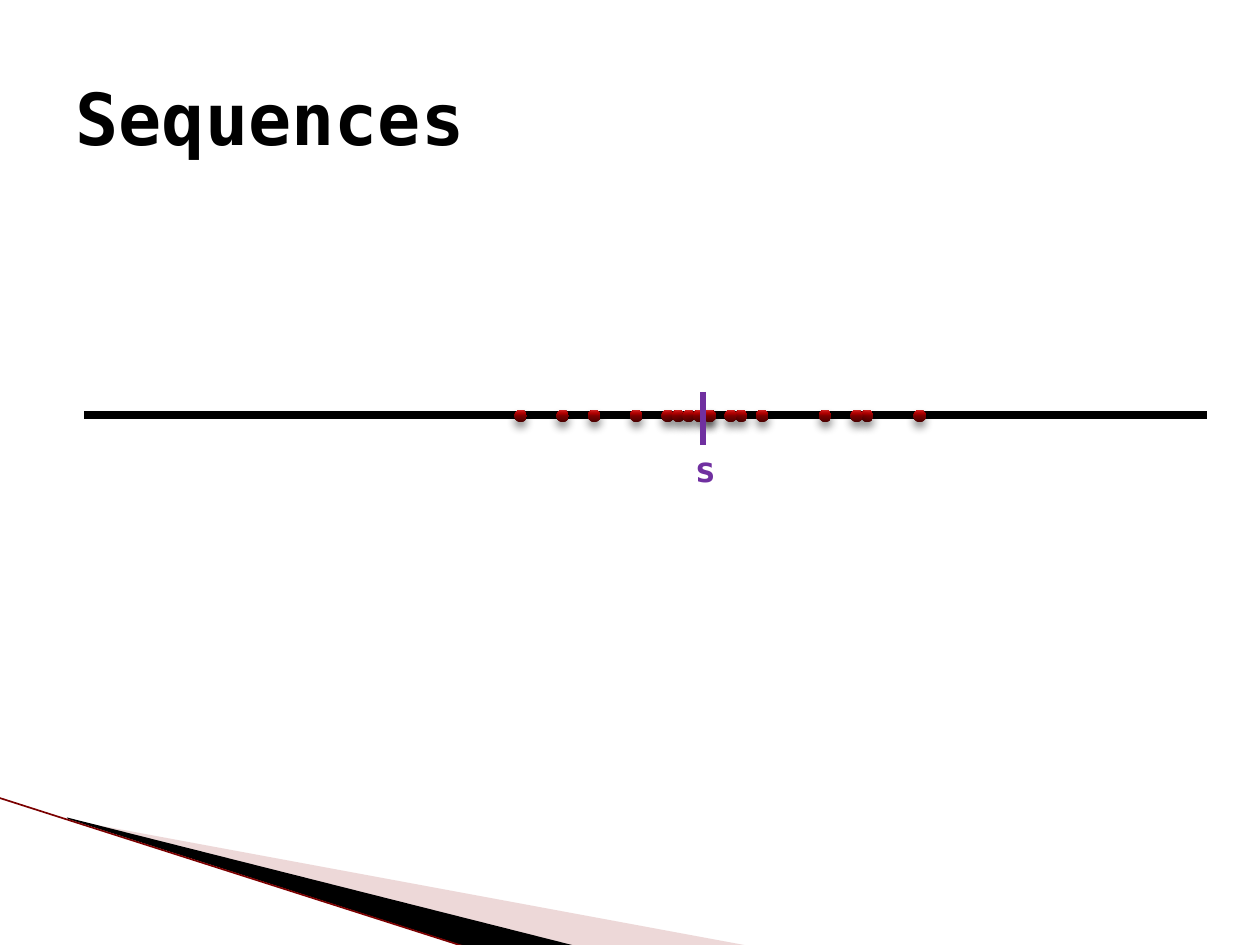
"""Build the Sequences slide: points on a number line gathering around s."""
from lxml.etree import SubElement
from pptx import Presentation
from pptx.dml.color import RGBColor
from pptx.enum.shapes import MSO_CONNECTOR, MSO_SHAPE
from pptx.enum.text import MSO_ANCHOR, MSO_AUTO_SIZE, PP_ALIGN
from pptx.oxml import parse_xml
from pptx.oxml.ns import nsdecls, qn
from pptx.util import Cm, Pt

COLORS = {"black": "000000", "purple": "7030A0", "red": "7B0000", "pink": "D29E9E"}
FONT = "DejaVu Sans Mono"
DOT_STOPS = [(0, "4C0000"), (50, "7B0000"), (70, "AD0000"), (100, "D02424")]
DOT_TWELFTHS = [87, 82, 81, 78, 53, 56, 49, 60, 70, 63, 64, 65, 72, 69, 67, 66, 67]
WEDGES = [
    ("pink", 40, [(1.4, 16.53), (15.11, 19.07), (11.58, 19.07), (1.4, 16.51)]),
    ("black", 100, [(1.35, 16.48), (11.61, 19.07), (9.45, 19.1), (1.37, 16.51)]),
]


def add_line(s, x1, y1, x2, y2, color, width):
    line = s.shapes.add_connector(MSO_CONNECTOR.STRAIGHT, Cm(x1), Cm(y1), Cm(x2), Cm(y2))
    line.line.color.rgb = RGBColor.from_string(COLORS[color])
    line.line.width = Pt(width)
    SubElement(line._element.spPr, qn("a:effectLst"))


def add_run(p, text, size, color):
    r = p.add_run()
    r.text = text
    r.font.name = FONT
    r.font.size = Pt(size)
    r.font.bold = True
    r.font.color.rgb = RGBColor.from_string(COLORS[color])


prs = Presentation()
prs.slide_width, prs.slide_height = Cm(25.4), Cm(19.05)
s = prs.slides.add_slide(prs.slide_layouts[5])

for color, alpha, points in WEDGES:
    corners = [(Cm(x), Cm(y)) for x, y in points]
    builder = s.shapes.build_freeform(*corners[0])
    builder.add_line_segments(corners[1:], close=True)
    sp = builder.convert_to_shape()
    sp.shadow.inherit = False
    sp.fill.solid()
    sp.fill.fore_color.rgb = RGBColor.from_string(COLORS[color])
    sp.line.fill.background()
    if alpha < 100:
        srgb = sp._element.spPr.find(qn("a:solidFill")).find(qn("a:srgbClr"))
        SubElement(srgb, qn("a:alpha"), val=str(alpha * 1000))
add_line(s, -0.03, 16.08, 9.42, 19.1, "red", 0.95)

title = s.shapes.title
title.left, title.top, title.width, title.height = Cm(1.27), Cm(0.76), Cm(22.86), Cm(3.18)
tf = title.text_frame
tf.auto_size = MSO_AUTO_SIZE.NONE
tf.vertical_anchor = MSO_ANCHOR.MIDDLE
p = tf.paragraphs[0]
p.alignment = PP_ALIGN.LEFT
add_run(p, "Sequences", 41, "black")

add_line(s, 1.7, 8.36, 24.33, 8.36, "black", 4.5)

stops = "".join(
    f'<a:gs pos="{pos * 1000}"><a:srgbClr val="{color}"/></a:gs>' for pos, color in DOT_STOPS
)
for twelfths in DOT_TWELFTHS:
    sp = s.shapes.add_shape(
        MSO_SHAPE.OVAL, Cm(twelfths * 2.54 / 12), Cm(8.26), Cm(0.25), Cm(0.25)
    )
    sp.shadow.inherit = False
    sp.line.fill.background()
    spPr = sp._element.spPr
    spPr.find(qn("a:prstGeom")).addnext(parse_xml(
        f'<a:gradFill {nsdecls("a")} rotWithShape="1"><a:gsLst>{stops}</a:gsLst>'
        '<a:lin ang="16200000" scaled="0"/></a:gradFill>'
    ))
    shadow = SubElement(
        spPr.find(qn("a:effectLst")), qn("a:outerShdw"),
        blurRad=str(Pt(5)), dist=str(Pt(3)), dir="5400000", rotWithShape="0",
    )
    srgb = SubElement(shadow, qn("a:srgbClr"), val=COLORS["black"])
    SubElement(srgb, qn("a:alpha"), val="45000")

add_line(s, 14.17, 7.9, 14.17, 8.97, "purple", 3)
label = s.shapes.add_textbox(Cm(13.76), Cm(8.89), Cm(0.85), Cm(1.11))
tf = label.text_frame
tf.word_wrap = True
tf.auto_size = MSO_AUTO_SIZE.SHAPE_TO_FIT_TEXT
add_run(tf.paragraphs[0], "s", 20, "purple")

prs.save("out.pptx")
